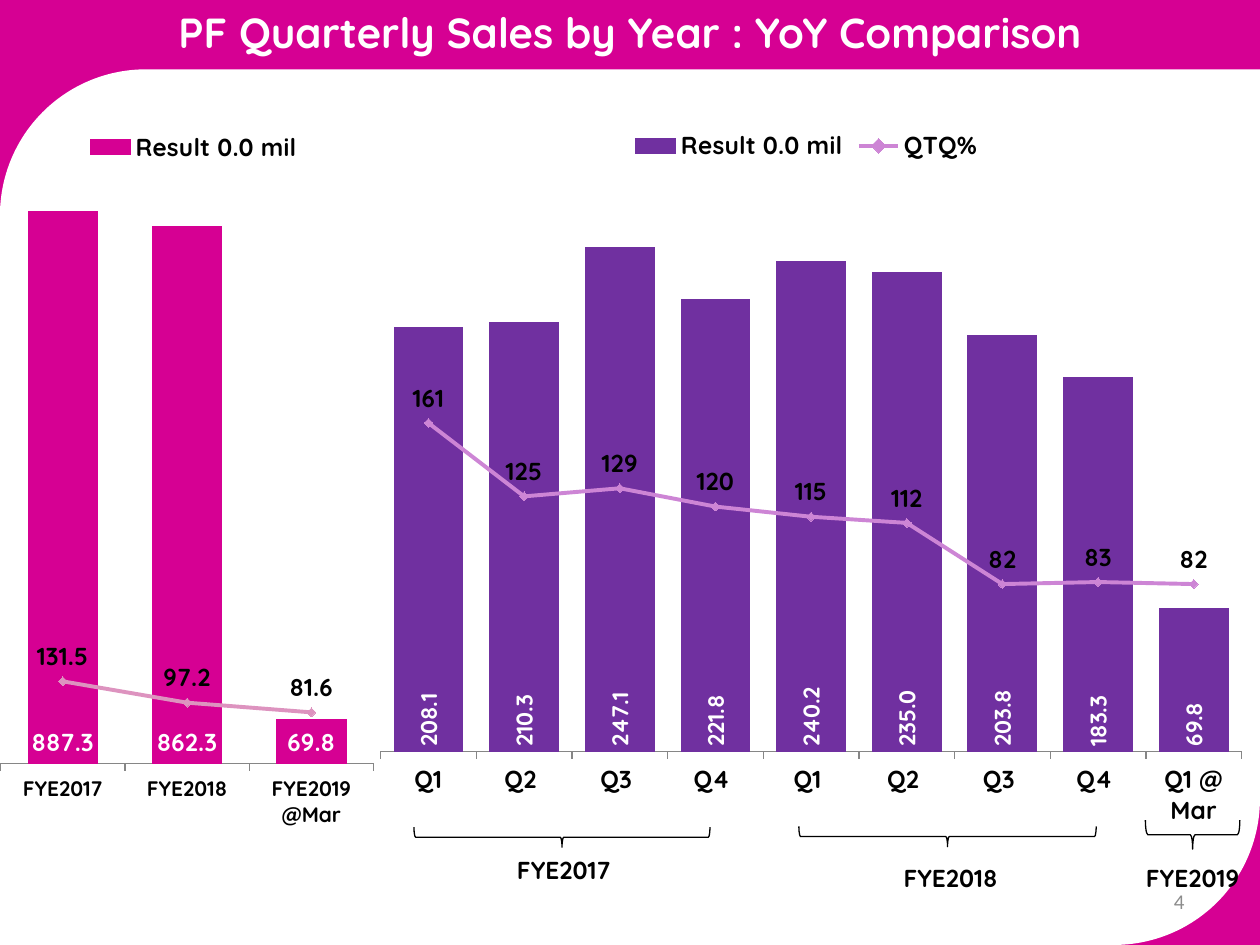
from pptx import Presentation
from pptx.chart.data import CategoryChartData
from pptx.dml.color import RGBColor
from pptx.enum.chart import XL_CHART_TYPE as ChartType
from pptx.enum.chart import XL_LABEL_POSITION as LabelAt
from pptx.enum.chart import XL_LEGEND_POSITION as LegendAt
from pptx.enum.chart import XL_TICK_MARK as Tick
from pptx.enum.shapes import MSO_SHAPE as Preset
from pptx.enum.text import MSO_ANCHOR as Anchor
from pptx.enum.text import MSO_AUTO_SIZE as AutoSize
from pptx.enum.text import PP_ALIGN as Align
from pptx.oxml import parse_xml
from pptx.oxml.ns import nsdecls, qn
from pptx.util import Inches, Pt

FONT, BLACK, WHITE = "Quicksand", "000000", "FFFFFF"
MAGENTA, PURPLE = "D60093", "7030A0"

LINE_GROUP = """<c:lineChart %s><c:grouping val="standard"/><c:varyColors val="0"/>
<c:marker val="1"/><c:axId val="5001"/><c:axId val="5002"/></c:lineChart>"""
SECOND_CATEGORY_AXIS = """<c:catAx %s><c:axId val="5001"/>
<c:scaling><c:orientation val="minMax"/></c:scaling><c:delete val="1"/>
<c:axPos val="b"/><c:crossAx val="5002"/><c:crosses val="autoZero"/></c:catAx>"""
SECOND_VALUE_AXIS = """<c:valAx %s><c:axId val="5002"/>
<c:scaling><c:orientation val="minMax"/><c:max val="{top}"/><c:min val="0"/></c:scaling>
<c:delete val="1"/><c:axPos val="r"/><c:crossAx val="5001"/><c:crosses val="max"/></c:valAx>"""


def color(value):
    """Turn a hex string into a colour."""
    return RGBColor.from_string(value)


def chart_part(template, **values):
    """Make a chart element from its XML."""
    return parse_xml((template % nsdecls("c")).format(**values))


def style_font(font, size=14, fill=BLACK, bold=True, name=FONT):
    """Set the look of a font."""
    font.name, font.size, font.bold = name, Pt(size), bold
    font.color.rgb = color(fill)


def write(frame, text, align=Align.CENTER, **look):
    """Fill a text frame with one formatted paragraph."""
    frame.word_wrap = True
    para = frame.paragraphs[0]
    para.alignment = align
    span = para.add_run()
    span.text = text
    style_font(span.font, **look)


def layout_part(inner=False, **fractions):
    """Make a manual layout from fractions of the chart."""
    target = '<c:layoutTarget val="inner"/>' if inner else ""
    modes = "".join(f'<c:{key}Mode val="edge"/>' for key in "xy")
    places = "".join(f'<c:{key} val="{value}"/>' for key, value in fractions.items())
    return chart_part("<c:layout %s><c:manualLayout>" + target + modes + places
                      + "</c:manualLayout></c:layout>")


def drop_layouts(parent):
    """Remove the automatic layouts of a chart element."""
    for layout in parent.findall(qn("c:layout")):
        parent.remove(layout)


def move_to_line(chart, top):
    """Draw the second series as a line on hidden second axes."""
    area = chart._chartSpace.chart.plotArea
    bars = area.find(qn("c:barChart"))
    series = bars.findall(qn("c:ser"))[1]
    for flag in series.findall(qn("c:invertIfNegative")):
        series.remove(flag)
    line = chart_part(LINE_GROUP)
    line.find(qn("c:marker")).addprevious(series)
    bars.addnext(line)
    last_axis = area.find(qn("c:valAx"))
    last_axis.addnext(chart_part(SECOND_VALUE_AXIS, top=top))
    last_axis.addnext(chart_part(SECOND_CATEGORY_AXIS))


def label_series(series, position, pattern, turned=False, **look):
    """Show the values of a series."""
    labels = series.data_labels
    labels.show_value = True
    labels.number_format, labels.number_format_is_linked = pattern, False
    labels.position = position
    style_font(labels.font, **look)
    if turned:
        body = labels._element.find(qn("c:txPr")).find(qn("a:bodyPr"))
        body.set("rot", "-5400000")
        body.set("vert", "horz")


class SlideBuilder:
    """Holds the current slide and adds styled elements to it."""

    def __init__(self, page):
        self.page = page
        self.shapes = page.shapes

    def backdrop(self):
        """Add the coloured frame with its white rounded panel."""
        group = self.shapes.add_group_shape()
        for preset, top, fill in ((Preset.RECTANGLE, 0, MAGENTA),
                                  (Preset.ROUND_2_DIAG_RECTANGLE, 0.55, WHITE)):
            panel = group.shapes.add_shape(
                preset, 0, Inches(top), Inches(10), Inches(7.5 - top))
            panel.shadow.inherit = False
            panel.fill.solid()
            panel.fill.fore_color.rgb = color(fill)
            panel.line.fill.background()

    def title(self, text):
        """Place the title in front of the backdrop."""
        title = self.shapes.title
        title._element.getparent().append(title._element)
        title.left, title.top, title.width, title.height = map(Inches, (0, 0, 10, 0.8))
        title.text_frame.vertical_anchor = Anchor.TOP
        title.text_frame.auto_size = AutoSize.NONE
        write(title.text_frame, text, size=24, fill=WHITE)

    def text(self, text, place, anchor=Anchor.TOP, grow=False, **look):
        """Add a text box."""
        box = self.shapes.add_textbox(*map(Inches, place))
        box.text_frame.vertical_anchor = anchor
        if grow:
            box.text_frame.auto_size = AutoSize.SHAPE_TO_FIT_TEXT
        write(box.text_frame, text, **look)

    def brace(self, place):
        """Add a brace that points down."""
        brace = self.shapes.add_shape(Preset.RIGHT_BRACE, *map(Inches, place))
        brace.rotation = 90
        brace.shadow.inherit = False
        brace.fill.background()
        brace.line.color.rgb = color(BLACK)
        brace.line.width = Pt(0.75)

    def combo(self, place, categories, bars, line, top, gap, plot, legend_at,
              axis_size=14, turned=False, label_size=14, line_format="0.0",
              line_in_legend=True):
        """Add a column chart with a line on a second axis."""
        data = CategoryChartData()
        data.categories = categories
        for name, values, _ in (bars, line):
            data.add_series(name, values)
        chart = self.shapes.add_chart(
            ChartType.COLUMN_CLUSTERED, *map(Inches, place), data).chart
        chart.has_title = False
        style_font(chart.font)
        category, value = chart.category_axis, chart.value_axis
        category.major_tick_mark = Tick.OUTSIDE
        category.format.line.color.rgb = color("868686")
        style_font(category.tick_labels.font, size=axis_size)
        value.minimum_scale, value.maximum_scale = 0, top
        value.has_major_gridlines = False
        value.tick_labels.number_format = "0.0"
        value.tick_labels.number_format_is_linked = False
        value.visible = False
        move_to_line(chart, top)

        columns, curve = chart.plots
        columns.gap_width, columns.vary_by_categories = gap, False
        column, trend = columns.series[0], curve.series[0]
        column.format.fill.solid()
        column.format.fill.fore_color.rgb = color(bars[2])
        column.format.line.color.rgb = color(bars[2])
        trend.smooth = False
        trend.format.line.color.rgb = color(line[2])
        trend.marker.size = 5
        trend.marker.format.fill.solid()
        trend.marker.format.fill.fore_color.rgb = color(line[2])
        trend.marker.format.line.color.rgb = color(line[2])
        label_series(column, LabelAt.INSIDE_BASE, "0.0", turned,
                     size=label_size, fill=WHITE)
        label_series(trend, LabelAt.ABOVE, line_format)

        area = chart._chartSpace.chart.plotArea
        drop_layouts(area)
        area.insert(0, layout_part(True, **dict(zip("xywh", plot))))
        chart.has_legend = True
        legend = chart.legend
        legend.position, legend.include_in_layout = LegendAt.TOP, False
        style_font(legend.font)
        drop_layouts(legend._element)
        spot = legend._element.find(qn("c:legendPos"))
        spot.addnext(layout_part(**dict(zip("xy", legend_at))))
        if not line_in_legend:
            spot.addnext(chart_part(
                '<c:legendEntry %s><c:idx val="1"/><c:delete val="1"/></c:legendEntry>'))


def main():
    """Build the deck."""
    deck = Presentation()
    deck.slide_width, deck.slide_height = Inches(10), Inches(7.5)
    slide = SlideBuilder(deck.slides.add_slide(deck.slide_layouts[5]))
    slide.backdrop()
    slide.text("4", (7.17, 6.95, 2.33, 0.4), anchor=Anchor.MIDDLE, align=Align.RIGHT,
               size=12, fill="8C8C8C", bold=False, name="Calibri")
    slide.combo(
        (2.73, 0.7, 7.27, 5.86),
        ["Q1", "Q2 ", "Q3 ", "Q4 ", "Q1 ", "Q2 ", "Q3 ", "Q4 ", "Q1 @ Mar"],
        ("Result 0.0 mil",
         (208.1, 210.3, 247.1, 221.8, 240.2, 235, 203.8, 183.3, 69.8), PURPLE),
        ("QTQ%", (161, 125, 129, 120, 115, 112, 82, 83, 82), "CD85D5"),
        top=300, gap=39, plot=(0.04, 0.07, 0.94, 0.83), legend_at=(0.31, 0.05),
        turned=True, label_size=13, line_format="0")
    slide.title("PF Quarterly Sales by Year : YoY Comparison")
    for year, label_left, label_top, brace in (
            ("FYE2017", 3.74, 6.74, (4.38, 5.47, 0.16, 2.35)),
            ("FYE2018", 6.81, 6.8, (7.44, 5.46, 0.16, 2.36)),
            ("FYE2019", 8.73, 6.8, (9.35, 6.25, 0.23, 0.75))):
        slide.brace(brace)
        slide.text(year, (label_left, label_top, 1.47, 0.34), grow=True)
    slide.combo(
        (0, 0.7, 2.97, 6.02), ["FYE2017", "FYE2018", "FYE2019 @Mar"],
        ("Result 0.0 mil", (887.3, 862.3, 69.8), MAGENTA),
        ("Y-o-Y%", (131.5, 97.2, 81.6), "DD93BF"),
        top=1000, gap=79, plot=(0, 0.07, 1, 0.82), legend_at=(0.22, 0.05),
        axis_size=12, line_in_legend=False)
    deck.save("out.pptx")


if __name__ == "__main__":
    main()
